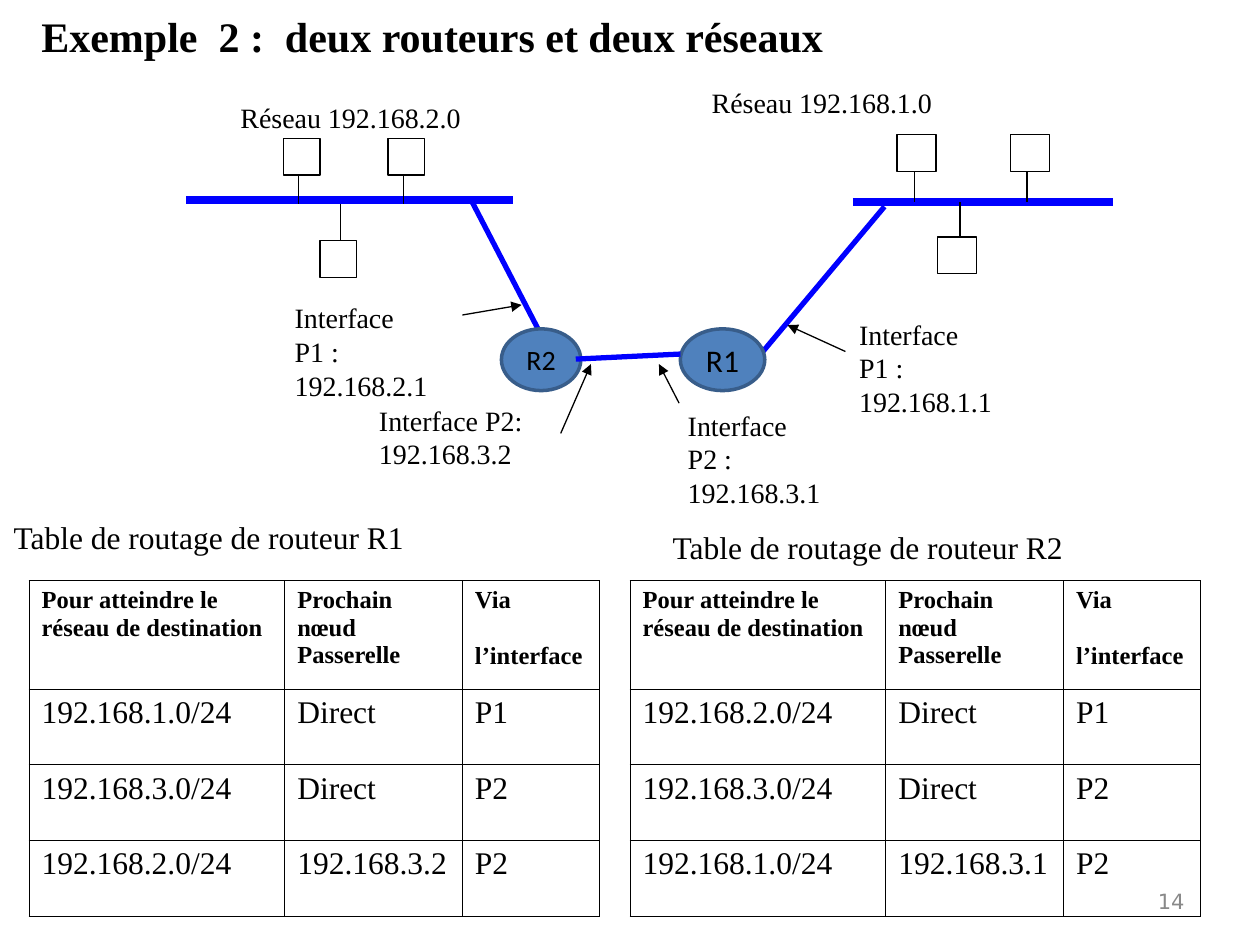
from dataclasses import dataclass

from lxml import etree
from pptx import Presentation
from pptx.dml.color import RGBColor
from pptx.enum.shapes import MSO_CONNECTOR, MSO_SHAPE
from pptx.enum.text import MSO_ANCHOR, PP_ALIGN
from pptx.oxml.ns import qn
from pptx.util import Inches, Pt

STRAIGHT = MSO_CONNECTOR.STRAIGHT
RECT, OVAL = MSO_SHAPE.RECTANGLE, MSO_SHAPE.OVAL
TOP, MIDDLE = MSO_ANCHOR.TOP, MSO_ANCHOR.MIDDLE
LEFT, CENTER, RIGHT = PP_ALIGN.LEFT, PP_ALIGN.CENTER, PP_ALIGN.RIGHT


@dataclass(frozen=True)
class Theme:
    """Colours, fonts, type sizes and line widths of the slide."""
    ink: str = "000000"
    paper: str = "FFFFFF"
    cable: str = "0000FF"
    router: str = "4F81BD"
    rim: str = "385D8A"
    muted: str = "898989"
    serif: str = "Times New Roman"
    sans: str = "Calibri"
    digit: str = "DejaVu Sans"
    title: int = 24
    body: int = 18
    label: int = 16
    head: int = 14
    number: int = 12
    thin: float = 0.75
    link: float = 3
    bus: float = 4.5
    edge: float = 2
    border: float = 0.45


THEME = Theme()
HEADS = (
    ("Pour atteindre le", "réseau de destination"),
    ("Prochain", "nœud Passerelle"),
    ("Via", "l’interface"),
)
COLS = (2.03, 1.41, 1.09)
ROWS = (0.86, 0.6, 0.6, 0.6)


def rgb(color):
    """Turn a hex string into a colour."""
    return RGBColor.from_string(color)


def write(frame, lines, size, bold=False, font=THEME.serif, color=THEME.ink, align=LEFT):
    """Fill a text frame with one paragraph per line."""
    for i, line in enumerate(lines):
        para = frame.paragraphs[0] if i == 0 else frame.add_paragraph()
        para.alignment = align
        run = para.add_run()
        run.text = line
        run.font.size, run.font.bold, run.font.name = Pt(size), bold, font
        run.font.color.rgb = rgb(color)


def add_text(slide, box, lines, size, anchor=TOP, wrap=False, **style):
    """Add a text box."""
    frame = slide.shapes.add_textbox(*map(Inches, box)).text_frame
    frame.word_wrap, frame.vertical_anchor = wrap, anchor
    write(frame, lines, size, **style)


def add_line(slide, start, end, color=THEME.ink, width=THEME.thin, arrow=False):
    """Draw a straight connector, with an arrowhead at its end on request."""
    line = slide.shapes.add_connector(STRAIGHT, *map(Inches, (*start, *end)))
    line.line.color.rgb = rgb(color)
    line.line.width = Pt(width)
    if arrow:
        etree.SubElement(line.line._get_or_add_ln(), qn("a:tailEnd"), type="triangle")
    etree.SubElement(line._element.spPr, qn("a:effectLst"))


def add_shape(slide, kind, box, fill, edge, width):
    """Add a flat preset shape."""
    shape = slide.shapes.add_shape(kind, *map(Inches, box))
    shape.shadow.inherit = False
    shape.fill.solid()
    shape.fill.fore_color.rgb = rgb(fill)
    shape.line.color.rgb = rgb(edge)
    shape.line.width = Pt(width)
    return shape


def add_router(slide, box, name, size):
    """Draw a named router."""
    shape = add_shape(slide, OVAL, box, THEME.router, THEME.rim, THEME.edge)
    shape.text_frame.vertical_anchor = MIDDLE
    write(shape.text_frame, [name], size, font=THEME.sans, align=CENTER)


def add_lan(slide, span, bus, tap, top, width, hosts):
    """Draw a bus with two hosts above it and the last one below."""
    side, drop = 0.29, 0.81
    add_line(slide, (span[0], bus), (span[1], bus), THEME.cable, THEME.bus)
    for i, (left, stem) in enumerate(hosts):
        below = i == len(hosts) - 1
        y = top + drop if below else top
        add_shape(slide, RECT, (left, y, width, side), THEME.paper, THEME.ink, THEME.thin)
        add_line(slide, (stem, y if below else y + side), (stem, tap))


def frame_cell(cell):
    """Paint a cell and rule its four sides."""
    cell.fill.solid()
    cell.fill.fore_color.rgb = rgb(THEME.paper)
    props = cell._tc.get_or_add_tcPr()
    for i, side in enumerate("LRTB"):
        rule = etree.Element(qn(f"a:ln{side}"), w=str(Pt(THEME.border)))
        fill = etree.SubElement(rule, qn("a:solidFill"))
        etree.SubElement(fill, qn("a:srgbClr"), val=THEME.ink)
        props.insert(i, rule)


def add_routes(slide, left, routes):
    """Add a routing table."""
    box = (left, 4.61, sum(COLS), sum(ROWS))
    table = slide.shapes.add_table(len(ROWS), len(COLS), *map(Inches, box)).table
    for col, width in zip(table.columns, COLS):
        col.width = Inches(width)
    for row, height in zip(table.rows, ROWS):
        row.height = Inches(height)
    for r, texts in enumerate((HEADS, *routes)):
        for c, text in enumerate(texts):
            cell = table.cell(r, c)
            frame_cell(cell)
            if r == 0:
                write(cell.text_frame, text, THEME.head, bold=True)
            else:
                write(cell.text_frame, [text], THEME.body)
    table.cell(0, 2).text_frame.paragraphs[1].space_before = Pt(16)


def main():
    """Build the slide and save it."""
    deck = Presentation()
    deck.slide_width, deck.slide_height = Inches(10), Inches(7.5)
    slide = deck.slides.add_slide(deck.slide_layouts[6])

    add_text(slide, (0.23, 0, 9, 0.56), ["Exemple  2 :  deux routeurs et deux réseaux"],
             THEME.title, MIDDLE, True, bold=True)
    for left, top, net in ((1.81, 0.75, "2"), (5.55, 0.63, "1")):
        add_text(slide, (left, top, 1.95, 0.37), [f"Réseau 192.168.{net}.0"],
                 THEME.label, MIDDLE)

    add_line(slide, (3.73, 1.57), (4.27, 2.61), THEME.cable, THEME.link)
    add_router(slide, (3.98, 2.61, 0.63, 0.49), "R2", THEME.label)
    add_lan(slide, (1.48, 4.07), 1.59, 1.62, 1.1, 0.29,
            ((2.25, 2.37), (3.08, 3.2), (2.54, 2.7)))
    add_lan(slide, (6.77, 8.83), 1.6, 1.6, 1.07, 0.31,
            ((7.12, 7.26), (8.02, 8.15), (7.44, 7.62)))
    add_line(slide, (6.03, 2.82), (7.02, 1.64), THEME.cable, THEME.link)
    add_router(slide, (5.4, 2.61, 0.67, 0.49), "R1", THEME.body)
    add_line(slide, (5.4, 2.81), (4.57, 2.85), THEME.cable, THEME.link)

    ports = (
        (2.24, 2.34, 1.39, "Interface P1 :", "192.168.2.1", (3.67, 2.5), (4.14, 2.42)),
        (6.72, 2.47, 1.39, "Interface P1 :", "192.168.1.1", (6.71, 2.79), (6.25, 2.58)),
        (2.91, 3.15, 1.34, "Interface P2:", "192.168.3.2", (4.45, 3.44), (4.69, 2.89)),
        (5.36, 3.19, 1.39, "Interface P2 :", "192.168.3.1", (5.39, 3.2), (5.23, 2.89)),
    )
    for left, top, width, name, host, start, end in ports:
        add_text(slide, (left, top, width, 0.64), [name, host], THEME.label)
        add_line(slide, start, end, arrow=True)

    tables = (
        (0.23, 0.01, 4.06, "R1", "1", "2", "192.168.3.2"),
        (5, 5.24, 4.14, "R2", "2", "1", "192.168.3.1"),
    )
    for left, x, y, name, near, far, hop in tables:
        add_text(slide, (x, y, 3.31, 0.4), [f"Table de routage de routeur {name}"], THEME.body)
        add_routes(slide, left, (
            (f"192.168.{near}.0/24", "Direct", "P1"),
            ("192.168.3.0/24", "Direct", "P2"),
            (f"192.168.{far}.0/24", hop, "P2"),
        ))
    add_text(slide, (7.17, 6.95, 2.33, 0.4), ["14"], THEME.number, MIDDLE, True,
             font=THEME.digit, color=THEME.muted, align=RIGHT)
    deck.save("out.pptx")


if __name__ == "__main__":
    main()
